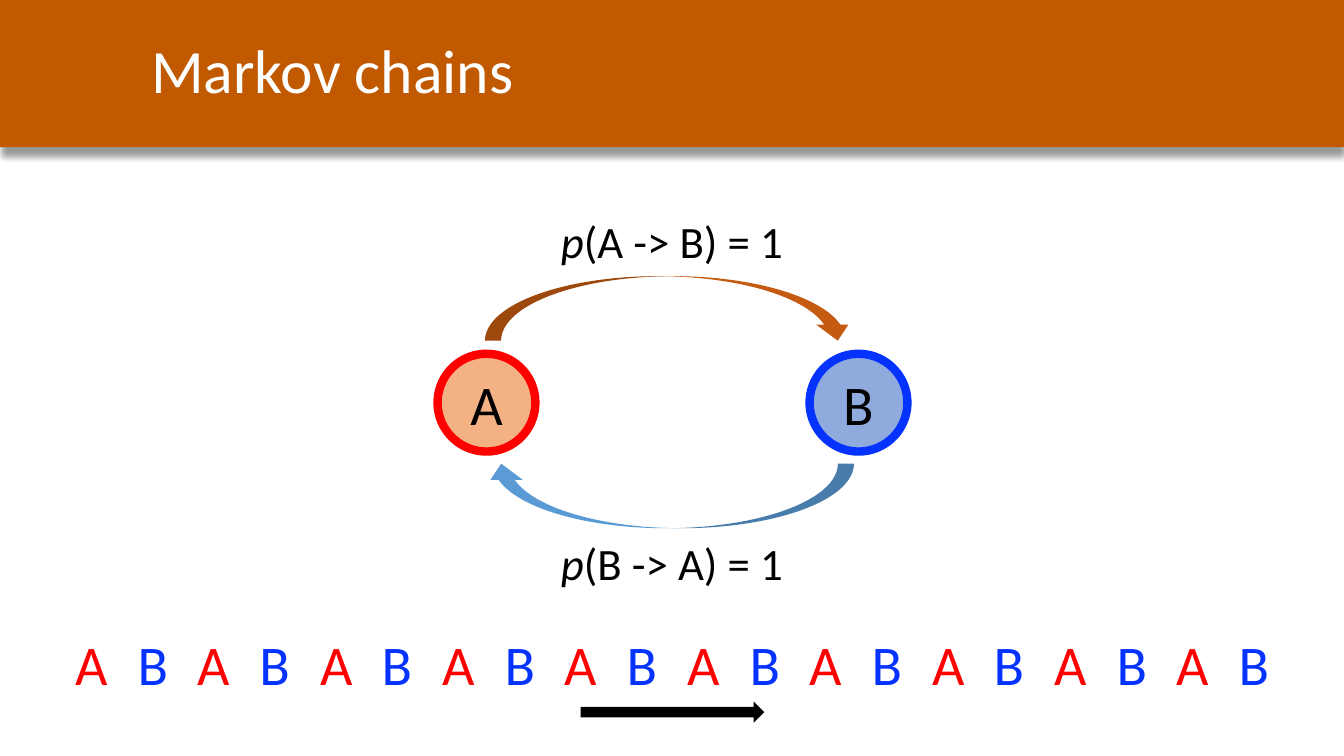
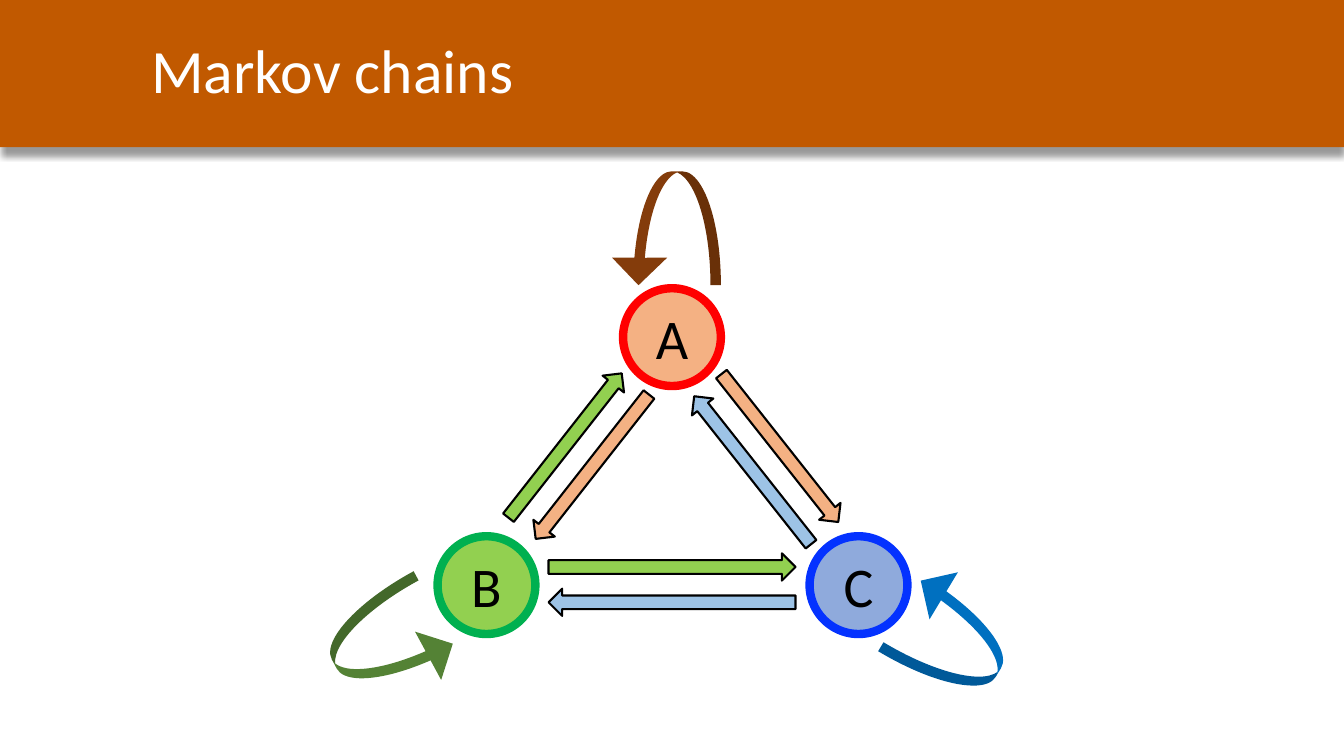
from lxml import etree
from pptx import Presentation
from pptx.dml.color import RGBColor
from pptx.enum.shapes import MSO_SHAPE
from pptx.enum.text import MSO_ANCHOR, MSO_AUTO_SIZE, PP_ALIGN
from pptx.oxml import parse_xml
from pptx.oxml.ns import nsdecls
from pptx.util import Pt

PX = 9144
SLIDE_W, SLIDE_H = 1333, 750
FONT = "Calibri"

WHITE = RGBColor(0xFF, 0xFF, 0xFF)
BLACK = RGBColor(0, 0, 0)
BAND = RGBColor(0xC1, 0x59, 0x00)
RED = RGBColor(0xFF, 0, 0)
BLUE = RGBColor(0x04, 0x32, 0xFF)
GREEN = RGBColor(0x00, 0xB0, 0x50)
PEACH = RGBColor(0xF4, 0xB1, 0x83)
PERIWINKLE = RGBColor(0x8F, 0xAA, 0xDC)
LIME = RGBColor(0x92, 0xD0, 0x50)
SKY = RGBColor(0x9D, 0xC3, 0xE6)
RUST = RGBColor(0xC5, 0x5A, 0x11)
STEEL = RGBColor(0x5B, 0x9B, 0xD5)
BROWN = RGBColor(0x84, 0x3C, 0x0B)
MOSS = RGBColor(0x54, 0x82, 0x35)
AZURE = RGBColor(0x00, 0x70, 0xC0)

NODE = 97
BAND_SHADOW = (
    f'<a:effectLst {nsdecls("a")}>'
    '<a:outerShdw blurRad="50800" dist="76200" dir="5400000" algn="t" rotWithShape="0">'
    '<a:srgbClr val="000000"><a:alpha val="40000"/></a:srgbClr>'
    '</a:outerShdw></a:effectLst>'
)


def box(*lengths):
    return [n * PX for n in lengths]


def style_run(r, size, color, italic=False):
    r.font.name = FONT
    r.font.size = Pt(size)
    r.font.color.rgb = color
    r.font.italic = italic


def add_shape(slide, kind, at, fill, line=None, width=0, rotation=0):
    sp = slide.shapes.add_shape(kind, *box(*at))
    sp.shadow.inherit = False
    sp.fill.solid()
    sp.fill.fore_color.rgb = fill
    if line is None:
        sp.line.fill.background()
    else:
        sp.line.color.rgb = line
        sp.line.width = Pt(width)
    sp.rotation = rotation
    return sp


def add_text(slide, at, pieces, size, color):
    tf = slide.shapes.add_textbox(*box(*at)).text_frame
    tf.word_wrap = False
    tf.auto_size = MSO_AUTO_SIZE.SHAPE_TO_FIT_TEXT
    p = tf.paragraphs[0]
    p.alignment = PP_ALIGN.CENTER
    for text, italic in pieces:
        r = p.add_run()
        r.text = text
        style_run(r, size, color, italic)


def add_node(slide, left, top, letter, fill, line):
    sp = add_shape(slide, MSO_SHAPE.OVAL, (left, top, NODE, NODE), fill, line, 6)
    tf = sp.text_frame
    tf.margin_left = tf.margin_right = tf.margin_top = tf.margin_bottom = 0
    tf.word_wrap = False
    tf.vertical_anchor = MSO_ANCHOR.MIDDLE
    p = tf.paragraphs[0]
    p.text = letter
    p.alignment = PP_ALIGN.CENTER
    style_run(p.runs[0], 40, BLACK)


def add_loop(slide, left, top, rotation, fill):
    sp = add_shape(slide, MSO_SHAPE.CURVED_RIGHT_ARROW, (left, top, 113, 109),
                   fill, rotation=rotation)
    sp.adjustments[0] = 0.095
    sp.adjustments[1] = 0.5
    sp.adjustments[2] = 0.25


def add_probability(slide, top, move):
    add_text(slide, (545, top, 243, 64), [("p", True), (f"({move}) = 1", False)], 32, BLACK)


def add_sequence(slide, count):
    first, last = 64, 1217
    for i in range(count):
        letter, color = (("A", RED), ("B", BLUE))[i % 2]
        left = first + round(i * (last - first) / (count - 1))
        add_text(slide, (left, 620, 53, 77), [(letter, False)], 40, color)


def add_band(slide, layout):
    band = add_shape(slide, MSO_SHAPE.RECTANGLE, (0, 0, SLIDE_W, 146), BAND)
    sp_pr = band._element.spPr
    sp_pr.replace(sp_pr.find("{*}effectLst"), parse_xml(BAND_SHADOW))
    layout.shapes._spTree.insert(2, band._element)


def set_title(slide, text):
    title = slide.shapes.title
    title.left, title.top, title.width, title.height = box(140, 12, 1193, 122)
    tf = title.text_frame
    tf.text = text
    tf.word_wrap = True
    tf.auto_size = MSO_AUTO_SIZE.NONE
    tf.vertical_anchor = MSO_ANCHOR.MIDDLE
    p = tf.paragraphs[0]
    p.alignment = PP_ALIGN.LEFT
    p.line_spacing = 0.9
    style_run(p.runs[0], 44, WHITE)


def build_two_states(slide):
    add_node(slide, 803, 351, "B", PERIWINKLE, BLUE)
    for top, rotation, fill in ((274, 0, RUST), (460, 180, STEEL)):
        add_shape(slide, MSO_SHAPE.CURVED_DOWN_ARROW, (481, top, 366, 64),
                  fill, rotation=rotation)
    add_sequence(slide, 20)
    add_probability(slide, 207, "A -> B")
    add_probability(slide, 527, "B -> A")
    add_node(slide, 434, 351, "A", PEACH, RED)
    add_shape(slide, MSO_SHAPE.RIGHT_ARROW, (576, 696, 182, 21), BLACK)


def build_three_states(slide):
    add_node(slide, 434, 532, "B", LIME, GREEN)
    add_node(slide, 803, 532, "C", PERIWINKLE, BLUE)
    add_loop(slide, 330, 587, 331.6, MOSS)
    add_loop(slide, 891, 574, 211.1, AZURE)
    add_node(slide, 618, 286, "A", PEACH, RED)
    add_loop(slide, 604, 172, 90, BROWN)
    up, down = MSO_SHAPE.UP_ARROW, MSO_SHAPE.DOWN_ARROW
    for kind, left, top, length, rotation, fill in (
        (up, 733, 373, 187, 321.7, SKY),
        (down, 760, 351, 187, 321.7, PEACH),
        (up, 547, 351, 182, 38.1, LIME),
        (down, 574, 372, 182, 38.1, PEACH),
        (up, 653, 475, 245, 270, SKY),
        (down, 653, 440, 245, 270, LIME),
    ):
        add_shape(slide, kind, (left, top, 27, length), fill, BLACK, 1.5, rotation)


def main():
    prs = Presentation()
    prs.slide_width, prs.slide_height = box(SLIDE_W, SLIDE_H)
    layout = prs.slide_layouts[5]
    for i, build in enumerate((build_two_states, build_three_states)):
        slide = prs.slides.add_slide(layout)
        if i == 0:
            add_band(slide, layout)
        set_title(slide, "Markov chains")
        build(slide)
    prs.save("out.pptx")


if __name__ == "__main__":
    main()
